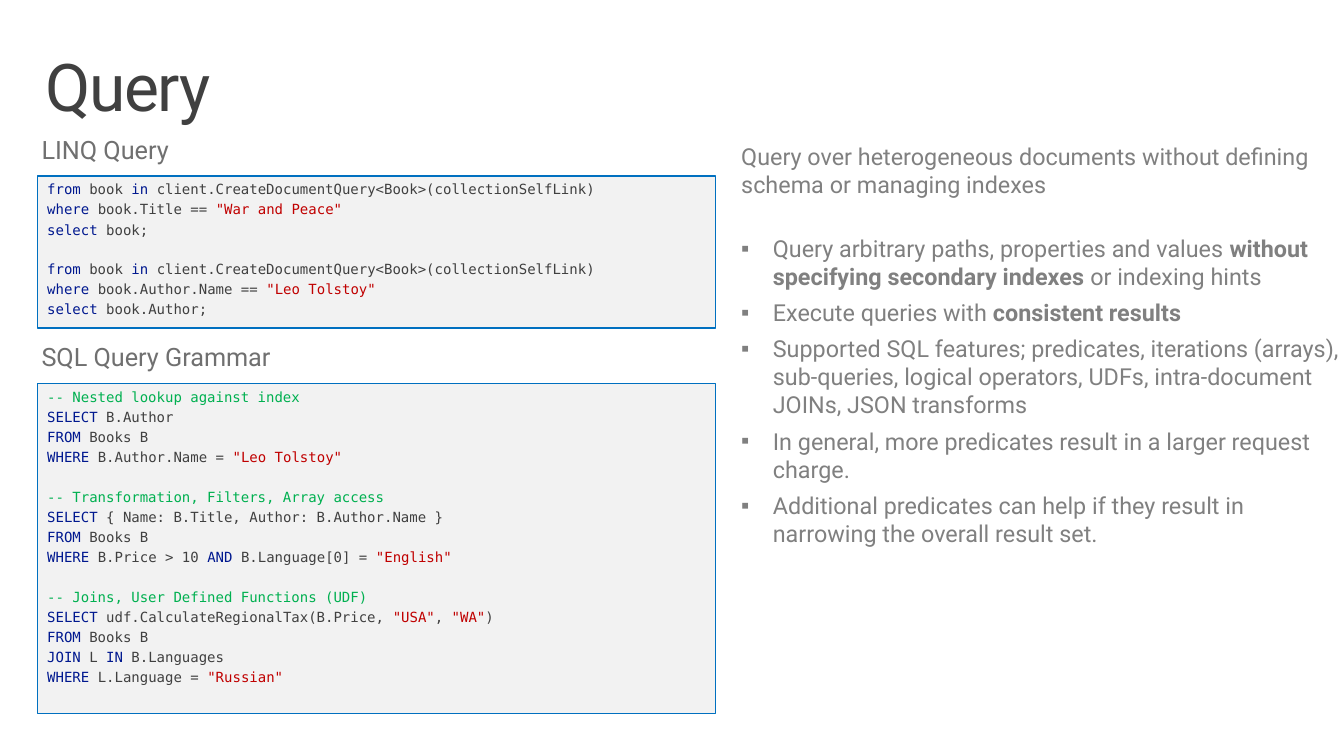
from itertools import groupby
from lxml.etree import SubElement as Sub
from pptx import Presentation
from pptx.dml.color import RGBColor as Rgb
from pptx.enum.shapes import MSO_SHAPE as Kind
from pptx.enum.text import MSO_ANCHOR as Anchor, MSO_AUTO_SIZE as Auto, PP_ALIGN as Align
from pptx.oxml.ns import qn
from pptx.util import Inches, Pt

WIDE, HIGH = Inches(13.6), Inches(7.65)
SANS, MONO = "Roboto", "DejaVu Sans Mono"
HUES = {
    "title": "404040", "label": "707070", "list": "808080",
    "fill": "F2F2F2", "edge": "0070C0",
    "key": "00188F", "plain": "404040", "quote": "C00000", "note": "00B050",
}
KEYS = set("from in where select SELECT FROM WHERE AND JOIN IN".split())

LINQ = '''from book in client.CreateDocumentQuery<Book>(collectionSelfLink)
where book.Title == "War and Peace"
select book;

from book in client.CreateDocumentQuery<Book>(collectionSelfLink)
where book.Author.Name == "Leo Tolstoy"
select book.Author;'''

SQL = '''-- Nested lookup against index
SELECT B.Author
FROM Books B
WHERE B.Author.Name = "Leo Tolstoy"

-- Transformation, Filters, Array access
SELECT { Name: B.Title, Author: B.Author.Name }
FROM Books B
WHERE B.Price > 10 AND B.Language[0] = "English"

-- Joins, User Defined Functions (UDF)
SELECT udf.CalculateRegionalTax(B.Price, "USA", "WA")
FROM Books B
JOIN L IN B.Languages
WHERE L.Language = "Russian"'''

LEAD = "Query over heterogeneous documents without defining schema or managing indexes"
POINTS = [
    ["Query arbitrary paths, properties and values ",
     "without specifying secondary indexes", " or indexing hints"],
    ["Execute queries with ", "consistent results"],
    ["Supported SQL features; predicates, iterations (arrays), sub-queries, "
     "logical operators, UDFs, intra-document JOINs, JSON transforms"],
    ["In general, more predicates result in a larger request charge."],
    ["Additional predicates can help if they result in narrowing the overall result set."],
]


def hue(name):
    return Rgb.from_string(HUES[name])


def scale(box):
    return [round(part * side / 100) for part, side in zip(box, (WIDE, HIGH) * 2)]


def place(shape, box):
    shape.left, shape.top, shape.width, shape.height = scale(box)


def frame(shape, pad, anchor=Anchor.TOP):
    text = shape.text_frame
    text.word_wrap = True
    text.auto_size = Auto.NONE
    text.vertical_anchor = anchor
    text.margin_left = text.margin_right = Inches(pad[0])
    text.margin_top = text.margin_bottom = Inches(pad[1])
    return text


def style(para, face, size, tint=None, before=0, line=1.0):
    para.alignment = Align.LEFT
    para.space_before, para.line_spacing = Pt(before), line
    para.font.name, para.font.size = face, Pt(size)
    if tint:
        para.font.color.rgb = hue(tint)


def grow(text, first):
    return text.paragraphs[0] if first else text.add_paragraph()


def title(shape, box):
    place(shape, box)
    para = frame(shape, (0.16, 0.1), Anchor.MIDDLE).paragraphs[0]
    run = para.add_run()
    run.text = "Query"
    style(para, SANS, 48, "title", line=0.9)
    run.font._element.set("spc", "-100")


def split(line):
    if line.startswith("--"):
        return [("note", line)]
    marks = []
    for spot, part in enumerate(line.split('"')):
        if spot % 2:
            marks.append(("quote", f'"{part}"'))
            continue
        words = part.split(" ")
        for turn, word in enumerate(words):
            space = " " if turn < len(words) - 1 else ""
            marks.append(("key" if word in KEYS else "plain", word + space))
    marks = [mark for mark in marks if mark[1]]
    return [(tint, "".join(word for _, word in group))
            for tint, group in groupby(marks, lambda mark: mark[0])]


def code(text, source):
    for block, stanza in enumerate(source.split("\n\n")):
        for row, line in enumerate(stanza.split("\n")):
            first = block == row == 0
            para = grow(text, first)
            style(para, MONO, 10.2, before=0 if first else 2.4 if row else 16.7)
            for tint, word in split(line):
                run = para.add_run()
                run.text = word
                run.font.color.rgb = hue(tint)


def panel(slide, box, name, source):
    left, top, wide, high = box
    head = 7.19
    rect = slide.shapes.add_shape(
        Kind.RECTANGLE, *scale((left, top + head, wide, high - head)))
    rect.shadow.inherit = False
    rect.fill.solid()
    rect.fill.fore_color.rgb = hue("fill")
    rect.line.color.rgb = hue("edge")
    rect.line.width = Pt(1)
    code(frame(rect, (0.1, 0.05)), source)
    label = slide.shapes.add_textbox(*scale((left - 1.17, top, wide, 7.97)))
    para = frame(label, (0.2, 0.16)).paragraphs[0]
    para.text = name
    style(para, SANS, 18.4, "label", line=0.9)


def bullet(para, sign, dent):
    props = para._p.get_or_add_pPr()
    props.set("marL", str(Inches(dent)))
    props.set("indent", str(-Inches(dent)))
    if sign:
        Sub(props, qn("a:buChar")).set("char", sign)
    else:
        Sub(props, qn("a:buNone"))


def points(shape, box):
    place(shape, box)
    text = frame(shape, (0.2, 0.16))
    for spot, parts in enumerate([[LEAD]] + POINTS):
        para = grow(text, spot == 0)
        style(para, SANS, 17, "list", before=(0, 26)[spot] if spot < 2 else 6)
        bullet(para, "▪" if spot else "", 0.32 if spot else 0)
        for turn, part in enumerate(parts):
            run = para.add_run()
            run.text = part
            if turn % 2:
                run.font.bold = True


def main():
    deck = Presentation()
    deck.slide_width, deck.slide_height = WIDE, HIGH
    slide = deck.slides.add_slide(deck.slide_layouts[1])
    title(slide.shapes.title, (2.21, 5.36, 95.59, 13.07))
    points(slide.placeholders[1], (53.68, 16.73, 47.57, 65.75))
    panel(slide, (2.79, 16.08, 50.44, 27.32), "LINQ Query", LINQ)
    panel(slide, (2.79, 43.53, 50.44, 50.85), "SQL Query Grammar", SQL)
    deck.save("out.pptx")


if __name__ == "__main__":
    main()
